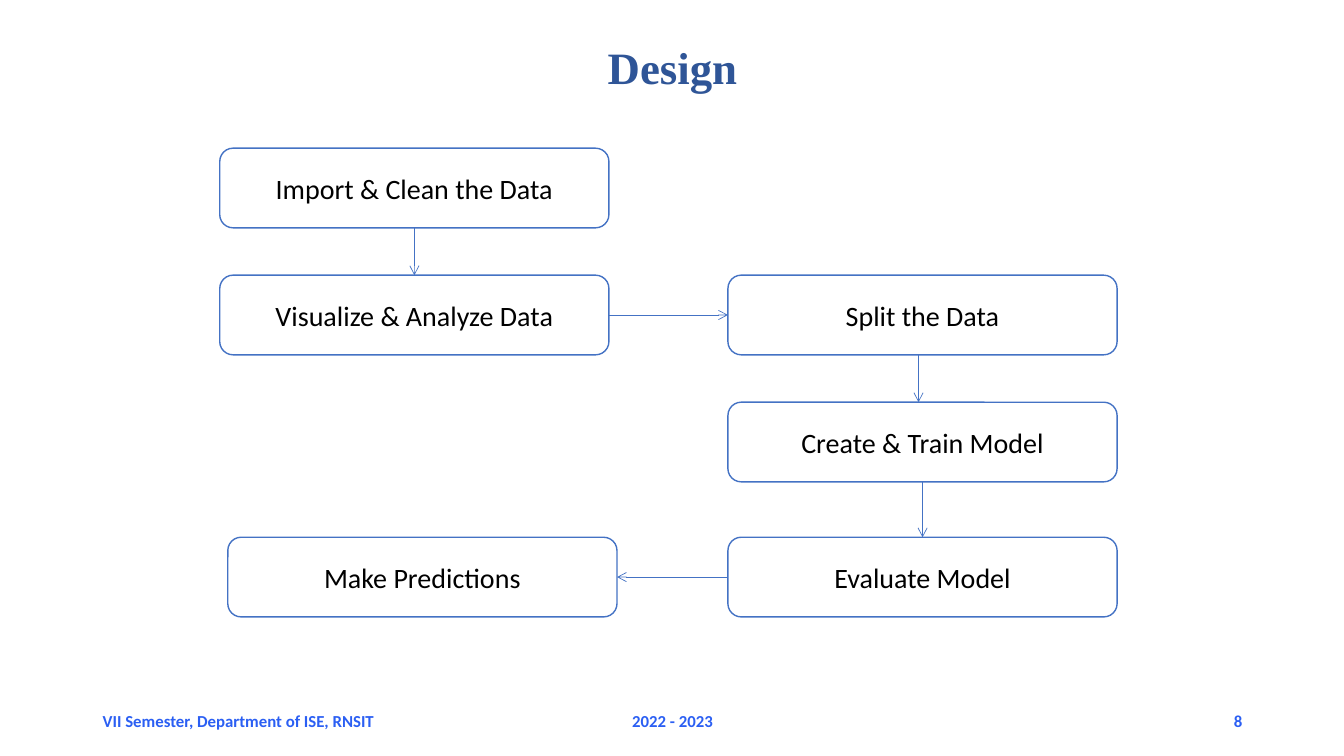
from lxml.etree import SubElement
from pptx import Presentation
from pptx.dml.color import RGBColor
from pptx.enum.shapes import MSO_CONNECTOR as Connector, MSO_SHAPE as Shape
from pptx.enum.text import MSO_ANCHOR as Anchor, MSO_AUTO_SIZE as AutoSize, PP_ALIGN as Align
from pptx.oxml.ns import qn
from pptx.util import Inches, Pt

TITLE_BLUE = RGBColor(0x2F, 0x55, 0x97)
FOOTER_BLUE = RGBColor(0x2B, 0x5F, 0xF3)
LINE_BLUE = RGBColor(0x44, 0x72, 0xC4)
BLACK = RGBColor(0, 0, 0)
WHITE = RGBColor(0xFF, 0xFF, 0xFF)

TITLE_FONT = {"name": "Times New Roman", "size": Pt(32), "bold": True}
FOOTER_FONT = {"name": "Calibri", "size": Pt(12), "bold": True}
STEP_FONT = {"name": "Calibri", "size": Pt(20), "bold": False}

STEP_WIDTH, STEP_HEIGHT = 3.86, 0.79
LEFT_COLUMN, RIGHT_COLUMN = 0, 5.04

# Steps: name -> left and top inside the flowchart
STEPS = {
    "Import & Clean the Data": (LEFT_COLUMN, 0),
    "Visualize & Analyze Data": (LEFT_COLUMN, 1.26),
    "Split the Data": (RIGHT_COLUMN, 1.26),
    "Create & Train Model": (RIGHT_COLUMN, 2.52),
    "Evaluate Model": (RIGHT_COLUMN, 3.86),
    "Make Predictions": (LEFT_COLUMN + 0.08, 3.86),
}
# Sideways shift of the arrow that leaves a step
ARROW_SHIFT = {"Split the Data": -0.04}


def write(shape, text, font, color, align, anchor=Anchor.MIDDLE, spacing=1.0):
    """Put one formatted line of text into a shape."""
    frame = shape.text_frame
    for name, value in {"word_wrap": True, "auto_size": AutoSize.NONE,
                        "vertical_anchor": anchor}.items():
        setattr(frame, name, value)
    para = frame.paragraphs[0]
    para.alignment = align
    para.line_spacing = spacing
    span = para.add_run()
    span.text = text
    for name, value in font.items():
        setattr(span.font, name, value)
    span.font.color.rgb = color


def add_title(page, box, text):
    title = page.shapes.title
    for name, value in zip(("left", "top", "width", "height"), box):
        setattr(title, name, Inches(value))
    write(title, text, TITLE_FONT, TITLE_BLUE, Align.CENTER, Anchor.TOP, 0.9)


def add_footer(page, box, parts):
    """Lay the footer parts side by side from the left edge of the box."""
    left, top, _, height = box
    for text, offset, width, align in parts:
        part = page.shapes.add_textbox(
            Inches(left + offset), Inches(top), Inches(width), Inches(height))
        write(part, text, FOOTER_FONT, FOOTER_BLUE, align)


def add_step(page, left, top, text):
    step = page.shapes.add_shape(Shape.ROUNDED_RECTANGLE, Inches(left), Inches(top),
                                 Inches(STEP_WIDTH), Inches(STEP_HEIGHT))
    step.shadow.inherit = False
    step.fill.solid()
    step.fill.fore_color.rgb = WHITE
    step.line.color.rgb = LINE_BLUE
    step.line.width = Pt(1)
    write(step, text, STEP_FONT, BLACK, Align.CENTER)
    return step


def add_arrow(page, source, target, shift):
    """Join facing edges: sideways within a row, downwards otherwise."""
    if source.top == target.top:
        middle = source.top + source.height // 2
        if source.left < target.left:
            ends = source.left + source.width, middle, target.left, middle
        else:
            ends = source.left, middle, target.left + target.width, middle
    else:
        center = source.left + source.width // 2 + Inches(shift)
        ends = center, source.top + source.height, center, target.top
    arrow = page.shapes.add_connector(Connector.STRAIGHT, *ends)
    arrow.line.color.rgb = LINE_BLUE
    arrow.line.width = Pt(0.5)
    SubElement(arrow.line._get_or_add_ln(), qn("a:tailEnd"), type="arrow")
    SubElement(arrow._element.spPr, qn("a:effectLst"))


def add_flowchart(page, box):
    left, top = box[:2]
    steps = [add_step(page, left + x, top + y, text) for text, (x, y) in STEPS.items()]
    for text, source, target in zip(STEPS, steps, steps[1:]):
        add_arrow(page, source, target, ARROW_SHIFT.get(text, 0))


deck = Presentation()
deck.slide_width, deck.slide_height = Inches(13.33), Inches(7.5)
page = deck.slides.add_slide(deck.slide_layouts.get_by_name("Title Only"))

add_title(page, (0.92, 0.4, 11.5, 0.76), "Design")
add_footer(page, (0.92, 6.95, 11.5, 0.4), [
    ("VII Semester, Department of ISE, RNSIT", 0, 3.5, Align.LEFT),
    ("2022 - 2023", 3.5, 4.5, Align.CENTER),
    ("8", 8.5, 3, Align.RIGHT),
])
add_flowchart(page, (2.18, 1.47, 8.9, 4.65))

deck.save("out.pptx")
